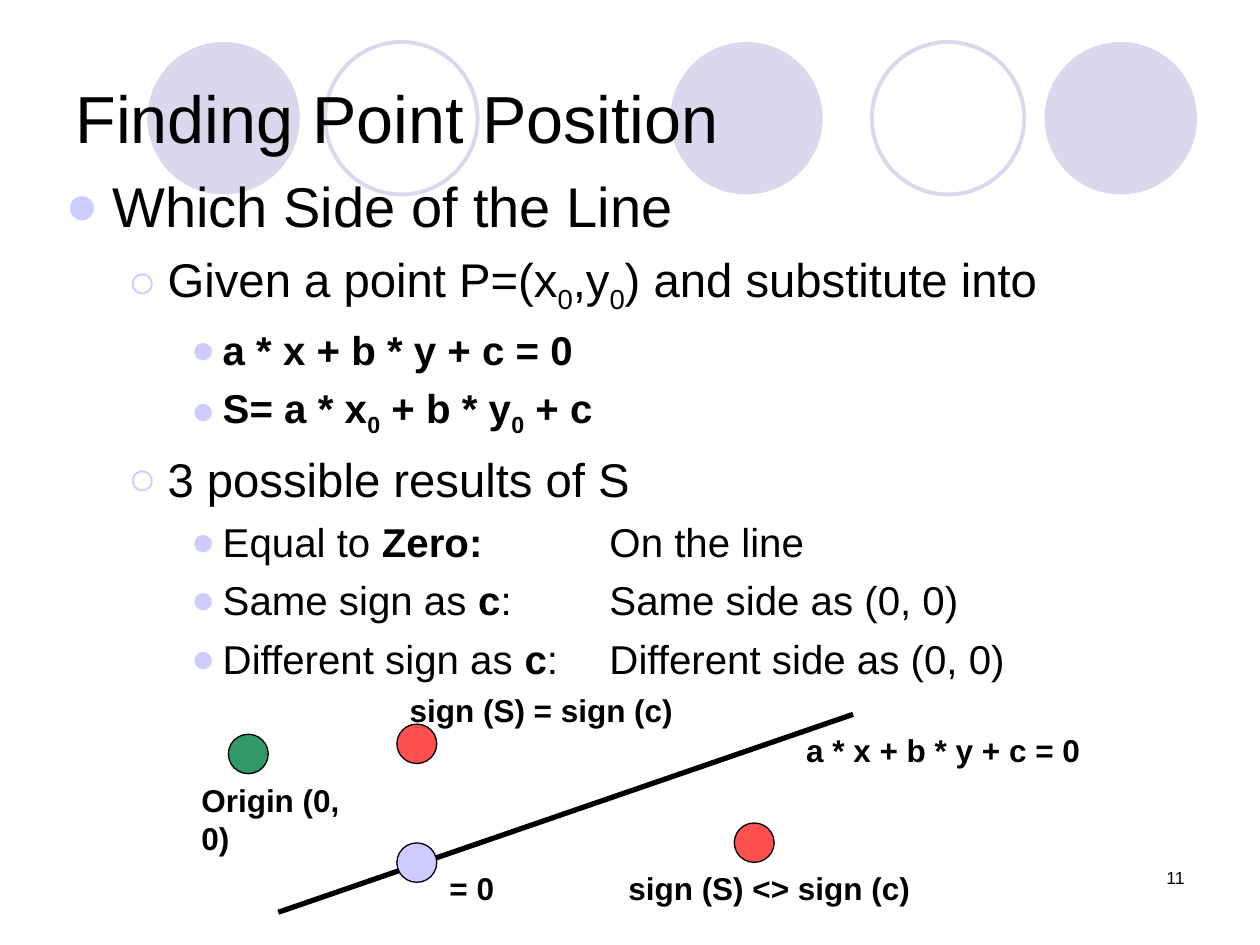
"""Build the slide on which side of a line a point lies."""
from typing import NamedTuple, Optional

from lxml import etree
from pptx import Presentation
from pptx.dml.color import RGBColor
from pptx.enum import shapes, text
from pptx.oxml import ns
from pptx.util import Pt

FONT = "Arial"
BLACK = RGBColor(0x00, 0x00, 0x00)
LAVENDER = RGBColor(0xD9, 0xD8, 0xEC)
PERIWINKLE = RGBColor(0xCC, 0xCC, 0xFF)
GREEN = RGBColor(0x33, 0x99, 0x66)
RED = RGBColor(0xFF, 0x50, 0x50)
PLAIN, BOLD, SUB, BOLD_SUB = "", "b", "s", "bs"
TAB_STOP = Pt(311)


class Circle(NamedTuple):
    left: float
    top: float
    width: float
    height: float
    fill: Optional[RGBColor]
    outline: Optional[RGBColor]
    weight: float = 0.75


class Label(NamedTuple):
    words: str
    left: float
    top: float
    width: float
    height: float = 28.8


class Level(NamedTuple):
    size: float
    indent: float
    hanging: float
    before: float
    bullet: str


class Item(NamedTuple):
    level: int
    pieces: list


LEVELS = [
    Level(32, 27, 27, 8, "●"),
    Level(27, 58.5, 22.5, 6.8, "○"),
    Level(23, 90, 18, 5.8, "●"),
]

OUTLINE = [
    Item(0, [("Which Side of the Line", PLAIN)]),
    Item(1, [("Given a point P=(x", PLAIN), ("0", SUB), (",y", PLAIN),
             ("0", SUB), (") and substitute into", PLAIN)]),
    Item(2, [("a * x + b * y + c = 0", BOLD)]),
    Item(2, [("S= a * x", BOLD), ("0", BOLD_SUB), (" + b * y", BOLD),
             ("0", BOLD_SUB), (" + c", BOLD)]),
    Item(1, [("3 possible results of S", PLAIN)]),
    Item(2, [("Equal to", PLAIN), (" Zero:\t", BOLD), ("On the line", PLAIN)]),
    Item(2, [("Same sign as ", PLAIN), ("c", BOLD),
             (":\tSame side as (0, 0)", PLAIN)]),
    Item(2, [("Different sign as ", PLAIN), ("c", BOLD),
             (":\tDifferent side as (0, 0)", PLAIN)]),
]

BACKDROP = [
    Circle(left, 24, 87.1, 87.1, fill, outline, 2.25)
    for left, fill, outline in [
        (383, LAVENDER, None), (596.9, LAVENDER, None), (84.2, LAVENDER, None),
        (498.2, None, LAVENDER), (185.8, None, LAVENDER)]
]

POINTS = [
    Circle(left, top, 22.8, 22.5, fill, BLACK)
    for left, top, fill in [
        (226.8, 481.7, PERIWINKLE), (130.5, 419.6, GREEN),
        (226.8, 413.8, RED), (419.6, 470.3, RED)]
]

LABELS = [
    Label("a * x + b * y + c = 0", 453.6, 414, 172.8),
    Label("= 0", 249.8, 493.2, 45.4),
    Label("sign (S) = sign (c)", 227, 391.2, 170),
    Label("sign (S) <> sign (c)", 352, 493.2, 189.4),
    Label("Origin (0, 0)", 108, 442.8, 113, 50.4),
]


def format_font(font, size: float, bold: bool = False) -> None:
    font.name, font.size, font.bold = FONT, Pt(size), bold
    font.color.rgb = BLACK


def draw_circle(slide, circle: Circle) -> None:
    disc = slide.shapes.add_shape(
        shapes.MSO_SHAPE.OVAL, Pt(circle.left), Pt(circle.top),
        Pt(circle.width), Pt(circle.height))
    disc.shadow.inherit = False
    if circle.fill is None:
        disc.fill.background()
    else:
        disc.fill.solid()
        disc.fill.fore_color.rgb = circle.fill
    if circle.outline is None:
        disc.line.fill.background()
    else:
        disc.line.color.rgb = circle.outline
        disc.line.width = Pt(circle.weight)


def draw_label(slide, label: Label, size: float = 18, bold: bool = True,
               align=text.PP_ALIGN.LEFT) -> None:
    box = slide.shapes.add_textbox(
        Pt(label.left), Pt(label.top), Pt(label.width), Pt(label.height))
    box.text_frame.word_wrap = True
    box.text_frame.text = label.words
    paragraph = box.text_frame.paragraphs[0]
    paragraph.alignment = align
    format_font(paragraph.runs[0].font, size, bold)


def add_bullet_and_tab(paragraph, level: Level) -> None:
    properties = paragraph._p.get_or_add_pPr()
    properties.set("marL", str(Pt(level.indent)))
    properties.set("indent", str(-Pt(level.hanging)))
    color = etree.SubElement(properties, ns.qn("a:buClr"))
    etree.SubElement(color, ns.qn("a:srgbClr"), val=str(PERIWINKLE))
    etree.SubElement(properties, ns.qn("a:buFont"), typeface=FONT)
    etree.SubElement(properties, ns.qn("a:buChar"), char=level.bullet)
    tabs = etree.SubElement(properties, ns.qn("a:tabLst"))
    etree.SubElement(tabs, ns.qn("a:tab"), pos=str(TAB_STOP), algn="l")


def write_item(paragraph, item: Item) -> None:
    level = LEVELS[item.level]
    paragraph.level = item.level
    paragraph.space_before = Pt(level.before)
    add_bullet_and_tab(paragraph, level)
    for words, style in item.pieces:
        run = paragraph.add_run()
        run.text = words
        format_font(run.font, level.size, BOLD in (style[:1],))
        if style.endswith(SUB):
            run._r.get_or_add_rPr().set("baseline", "-25000")


def write_outline(slide) -> None:
    frame = slide.shapes.add_textbox(
        Pt(30.2), Pt(94.3), Pt(670.3), Pt(391)).text_frame
    frame.word_wrap = True
    for index, item in enumerate(OUTLINE):
        write_item(frame.add_paragraph() if index else frame.paragraphs[0], item)


def write_title(slide, words: str) -> None:
    title = slide.shapes.title
    title.left, title.top, title.width, title.height = (
        Pt(36), Pt(21.6), Pt(648), Pt(90))
    title.text_frame.text = words
    title.text_frame.auto_size = text.MSO_AUTO_SIZE.NONE
    title.text_frame.vertical_anchor = text.MSO_ANCHOR.MIDDLE
    paragraph = title.text_frame.paragraphs[0]
    paragraph.alignment = text.PP_ALIGN.LEFT
    format_font(paragraph.runs[0].font, 38)
    title.element.getparent().append(title.element)


def draw_line(slide) -> None:
    line = slide.shapes.add_connector(
        shapes.MSO_CONNECTOR.STRAIGHT, Pt(159), Pt(521.3), Pt(487.5), Pt(408.2))
    line.line.color.rgb = BLACK
    line.line.width = Pt(3)
    etree.SubElement(line.element.spPr, ns.qn("a:effectLst"))


def main() -> None:
    deck = Presentation()
    deck.slide_width, deck.slide_height = Pt(720), Pt(540)
    slide = deck.slides.add_slide(deck.slide_layouts.get_by_name("Title Only"))
    for circle in BACKDROP:
        draw_circle(slide, circle)
    draw_label(slide, Label("11", 516.2, 491.8, 167.8, 36), 10, False,
               text.PP_ALIGN.RIGHT)
    write_title(slide, "Finding Point Position")
    write_outline(slide)
    draw_line(slide)
    for point in POINTS:
        draw_circle(slide, point)
    for label in LABELS:
        draw_label(slide, label)
    deck.save("out.pptx")


if __name__ == "__main__":
    main()
